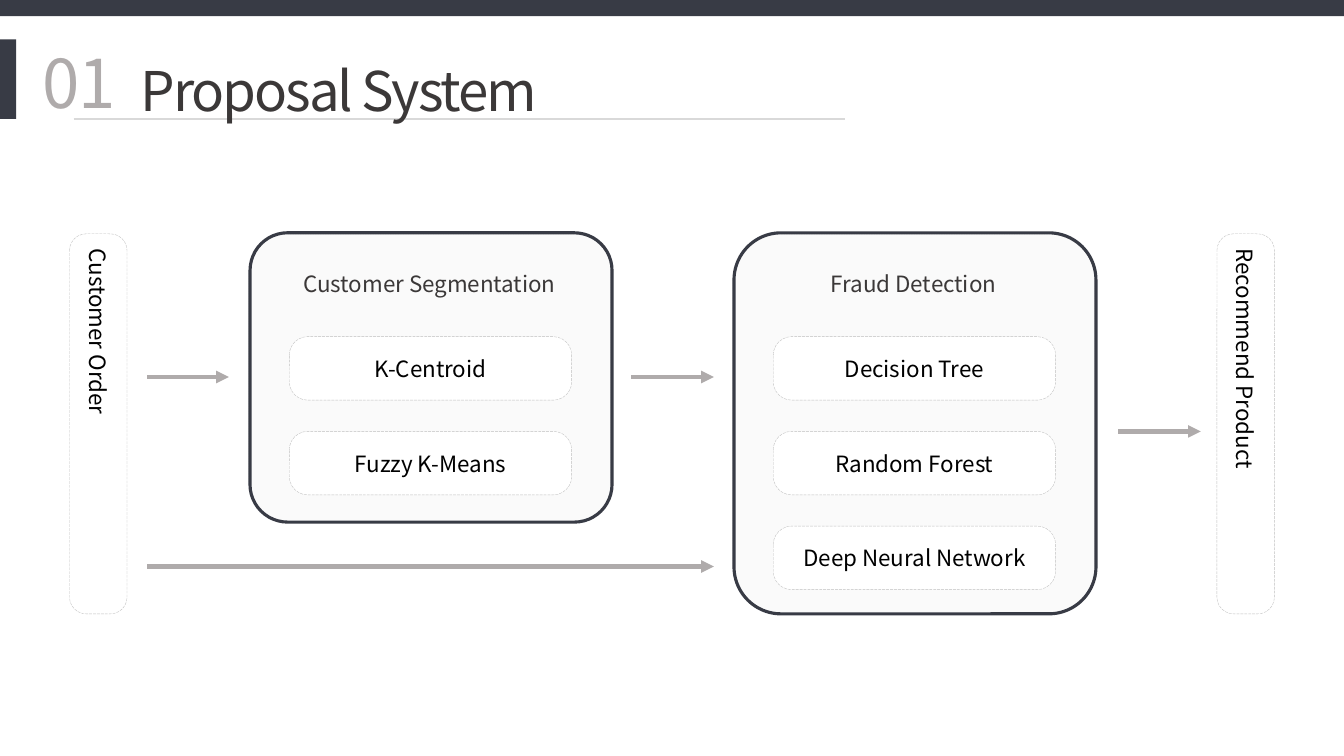
from pptx import Presentation
from pptx.dml.color import RGBColor
from pptx.enum.dml import MSO_LINE
from pptx.enum.shapes import MSO_CONNECTOR, MSO_SHAPE
from pptx.enum.text import MSO_ANCHOR, PP_ALIGN
from pptx.oxml.ns import qn
from pptx.util import Pt
from lxml import etree

PX = 9144  # 100 px to the inch
STRAIGHT = MSO_CONNECTOR.STRAIGHT
RECTANGLE, ROUNDED = MSO_SHAPE.RECTANGLE, MSO_SHAPE.ROUNDED_RECTANGLE
DASH, LONG_DASH = MSO_LINE.DASH, MSO_LINE.LONG_DASH
TOP, MIDDLE, BOTTOM = MSO_ANCHOR.TOP, MSO_ANCHOR.MIDDLE, MSO_ANCHOR.BOTTOM
LEFT, CENTER = PP_ALIGN.LEFT, PP_ALIGN.CENTER


def color(value):
    return RGBColor.from_string(value)


class SlideBuilder:
    font = "Noto Sans CJK KR"
    navy, ink, black, white = "383B45", "3B3838", "000000", "FFFFFF"
    panel_fill, panel_line = "FAFAFA", "A6A6A6"
    box_line, rule, gray = "BFBFBF", "D9D9D9", "AFABAB"

    def __init__(self, slide):
        self.slide = slide

    def shape(self, kind, box, fill=None, line=None, width=0.25, dash=None, rounding=None):
        shape = self.slide.shapes.add_shape(kind, *(v * PX for v in box))
        shape.shadow.inherit = False
        if fill:
            shape.fill.solid()
            shape.fill.fore_color.rgb = color(fill)
        else:
            shape.fill.background()
        if line:
            shape.line.color.rgb = color(line)
            shape.line.width = Pt(width)
            if dash:
                shape.line.dash_style = dash
        else:
            shape.line.fill.background()
        if rounding:
            shape.adjustments[0] = rounding
        return shape

    def add_text(self, shape, text, size, ink, align=CENTER, anchor=MIDDLE, spacing=None):
        frame = shape.text_frame
        frame.word_wrap = True
        frame.vertical_anchor = anchor
        paragraph = frame.paragraphs[0]
        paragraph.alignment = align
        run = paragraph.add_run()
        run.text = text
        run.font.size = Pt(size)
        run.font.name = self.font
        run.font.color.rgb = color(ink)
        properties = run._r.get_or_add_rPr()
        etree.SubElement(properties, qn("a:ea")).set("typeface", self.font)
        if spacing:
            properties.set("spc", str(spacing))

    def label(self, box, text, size, ink, **style):
        shape = self.slide.shapes.add_textbox(*(v * PX for v in box))
        self.add_text(shape, text, size, ink, **style)

    def box(self, box, text, vertical=False):
        shape = self.shape(ROUNDED, box, self.white, self.box_line, dash=LONG_DASH, rounding=0.29)
        self.add_text(shape, text, 16, self.black)
        if vertical:
            shape.text_frame._txBody.bodyPr.set("vert", "eaVert")

    def panel(self, left, height, title, methods):
        self.shape(ROUNDED, (left, 232, 359, height), self.panel_fill, self.panel_line,
                   dash=DASH, rounding=0.13)
        self.shape(ROUNDED, (left + 1, 231, 359, height + 1), line=self.navy,
                   width=2.25, rounding=0.13)
        self.label((left + 13, 263, 332, 37), title, 16, self.ink, anchor=TOP)
        for row, method in enumerate(methods):
            self.box((left + 40, 334 + 94 * row, 280, 63), method)

    def line(self, start, end, y, ink, width, arrow=False):
        connector = self.slide.shapes.add_connector(
            STRAIGHT, start * PX, y * PX, end * PX, y * PX)
        connector.line.color.rgb = color(ink)
        connector.line.width = Pt(width)
        properties = connector._element.spPr
        if arrow:
            outline = properties.find(qn("a:ln"))
            etree.SubElement(outline, qn("a:tailEnd")).set("type", "triangle")
        etree.SubElement(properties, qn("a:effectLst"))


def main():
    presentation = Presentation()
    presentation.slide_width, presentation.slide_height = 1333 * PX, 750 * PX
    builder = SlideBuilder(presentation.slides.add_slide(presentation.slide_layouts[6]))

    # Header
    builder.shape(RECTANGLE, (0, 0, 1333, 16), builder.navy)
    builder.shape(RECTANGLE, (0, 39, 16, 79), builder.navy)
    builder.line(73, 838, 118, builder.rule, 1)
    builder.label((21, 32, 115, 94), "01", 48, builder.gray, anchor=BOTTOM, spacing=-150)
    builder.label((130, 20, 577, 106), "Proposal System", 39, builder.ink,
                  align=LEFT, anchor=BOTTOM, spacing=-150)

    # Input, processing panels and output
    builder.box((69, 232, 57, 377), "Customer Order", vertical=True)
    builder.panel(247, 286, "Customer Segmentation", ("K-Centroid", "Fuzzy K-Means"))
    builder.panel(727, 377, "Fraud Detection",
                  ("Decision Tree", "Random Forest", "Deep Neural Network"))
    builder.box((1207, 232, 57, 377), "Recommend Product", vertical=True)

    # Flow arrows
    for start, end, y in ((146, 227, 374), (146, 708, 562), (626, 708, 374), (1109, 1191, 428)):
        builder.line(start, end, y, builder.gray, 3, arrow=True)

    presentation.save("out.pptx")


if __name__ == "__main__":
    main()
